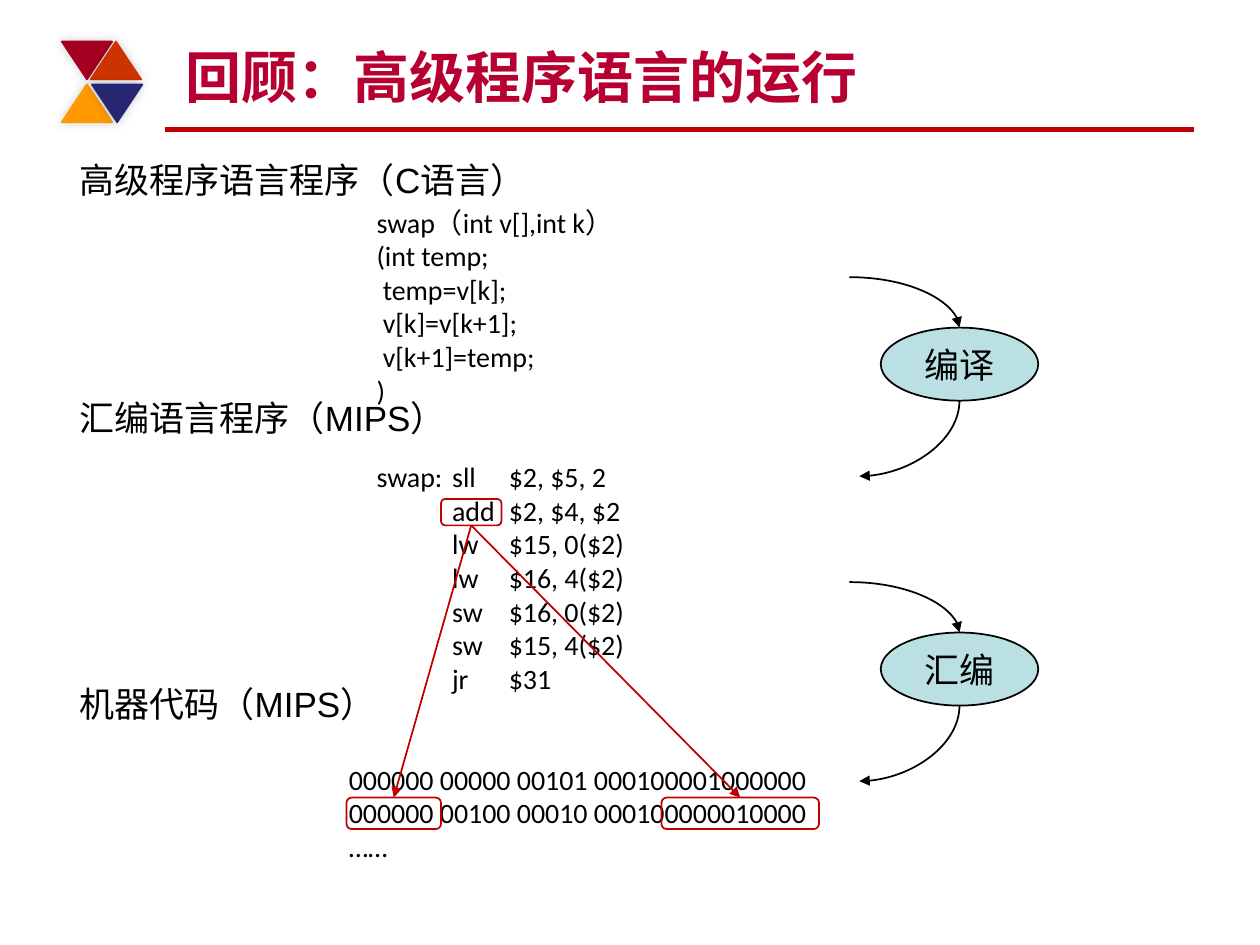
from lxml import etree
from pptx import Presentation
from pptx.dml.color import RGBColor
from pptx.enum.shapes import MSO_CONNECTOR, MSO_SHAPE
from pptx.enum.text import MSO_ANCHOR, MSO_AUTO_SIZE, PP_ALIGN
from pptx.oxml.ns import qn
from pptx.util import Inches, Pt

STRAIGHT, CURVE = MSO_CONNECTOR.STRAIGHT, MSO_CONNECTOR.CURVE
TRIANGLE, ELLIPSE = MSO_SHAPE.ISOSCELES_TRIANGLE, MSO_SHAPE.OVAL
ROUNDED = MSO_SHAPE.ROUNDED_RECTANGLE
LEFT, CENTER = PP_ALIGN.LEFT, PP_ALIGN.CENTER
TOP, MIDDLE, BOTTOM = MSO_ANCHOR.TOP, MSO_ANCHOR.MIDDLE, MSO_ANCHOR.BOTTOM
COLUMNS, ROWS = 100, 75
BLACK, RED, CRIMSON, PALE_BLUE = "000000", "C00000", "B70031", "BBE0E3"


def color(hex_string):
    return RGBColor.from_string(hex_string)


def child(parent, tag, **attributes):
    return etree.SubElement(parent, qn(tag), attributes)


class SlideBuilder:
    def __init__(self, presentation):
        self.slide = presentation.slides.add_slide(presentation.slide_layouts[1])
        self.column = presentation.slide_width / COLUMNS
        self.row = presentation.slide_height / ROWS

    def place(self, left, top, width, height):
        return (round(left * self.column), round(top * self.row),
                round(width * self.column), round(height * self.row))

    def add_text(self, paragraph, text, font, size, hex_string=BLACK, bold=False):
        run = paragraph.add_run()
        run.text = text
        run.font.name, run.font.size, run.font.bold = font, Pt(size), bold
        run.font.color.rgb = color(hex_string)

    def placeholder(self, shape, box, anchor):
        shape.left, shape.top, shape.width, shape.height = self.place(*box)
        frame = shape.text_frame
        frame.auto_size = MSO_AUTO_SIZE.NONE
        frame.vertical_anchor = anchor
        return frame

    def title(self, box, text):
        frame = self.placeholder(self.slide.shapes.title, box, BOTTOM)
        paragraph = frame.paragraphs[0]
        paragraph.alignment = LEFT
        self.add_text(paragraph, text, "Arial", 32, CRIMSON, True)

    def headings(self, box, items):
        frame = self.placeholder(self.slide.placeholders[1], box, TOP)
        for index, (text, space) in enumerate(items):
            paragraph = frame.add_paragraph() if index else frame.paragraphs[0]
            properties = paragraph._p.get_or_add_pPr()
            properties.set("marL", "0")
            properties.set("indent", "0")
            child(properties, "a:buNone")
            paragraph.space_before = Pt(space)
            self.add_text(paragraph, text, "Arial", 20)

    def code(self, box, lines, tabs=()):
        frame = self.slide.shapes.add_textbox(*self.place(*box)).text_frame
        frame.word_wrap = True
        for index, line in enumerate(lines):
            paragraph = frame.add_paragraph() if index else frame.paragraphs[0]
            if tabs:
                stops = child(paragraph._p.get_or_add_pPr(), "a:tabLst")
                for position in tabs:
                    child(stops, "a:tab", pos=str(round(position * self.column)), algn="l")
            self.add_text(paragraph, line, "Calibri", 16)

    def shape(self, kind, box, line, fill=None, rotation=0):
        shape = self.slide.shapes.add_shape(kind, *self.place(*box))
        shape.shadow.inherit = False
        shape.rotation = rotation
        shape.line.color.rgb = color(line)
        shape.line.width = Pt(1)
        if fill:
            shape.fill.solid()
            shape.fill.fore_color.rgb = color(fill)
        else:
            shape.fill.background()
        return shape

    def triangle(self, left, top, hex_string, rotation):
        shape = self.shape(TRIANGLE, (left, top, 4, 3), hex_string, hex_string, rotation)
        effects = shape._element.spPr.find(qn("a:effectLst"))
        shadow = child(effects, "a:outerShdw", blurRad=str(Pt(6)), dist="0",
                       dir="18900000", rotWithShape="0")
        child(child(shadow, "a:srgbClr", val=BLACK), "a:alpha", val="20000")

    def ellipse(self, box, text):
        shape = self.shape(ELLIPSE, box, BLACK, PALE_BLUE)
        frame = shape.text_frame
        frame.vertical_anchor = MIDDLE
        paragraph = frame.paragraphs[0]
        paragraph.alignment = CENTER
        self.add_text(paragraph, text, "Times New Roman", 20)

    def line(self, start, end, hex_string, width=1, kind=STRAIGHT, arrow=True):
        connector = self.slide.shapes.add_connector(
            kind, *self.place(*start, *end))
        connector.line.color.rgb = color(hex_string)
        connector.line.width = Pt(width)
        properties = connector._element.spPr
        if arrow:
            child(properties.find(qn("a:ln")), "a:tailEnd", type="triangle")
        child(properties, "a:effectLst")
        return connector

    def curve(self, start, end, turned=False):
        if turned:
            middle_x, middle_y = (start[0] + end[0]) / 2, (start[1] + end[1]) / 2
            half_width, half_height = abs(end[1] - start[1]) / 2, abs(end[0] - start[0]) / 2
            start = middle_x - half_width, middle_y - half_height
            end = middle_x + half_width, middle_y + half_height
        connector = self.line(start, end, BLACK, kind=CURVE)
        properties = connector._element.spPr
        properties.find(qn("a:prstGeom")).set("prst", "curvedConnector2")
        if turned:
            properties.find(qn("a:xfrm")).set("rot", "5400000")

    def stage(self, top, text):
        left, width, height = 69.9, 12.5, 5.8
        center, bottom = left + width / 2, top + height
        self.ellipse((left, top, width, height), text)
        self.curve((67.4, top - 4), (center, top))
        self.curve((center, bottom), (68.2, bottom + 6), turned=True)

    def link(self, source, target):
        connector = self.line((0, 0), (0, 0), RED)
        connector.begin_connect(source, 2)
        connector.end_connect(target, 0)


def main():
    presentation = Presentation()
    presentation.slide_width, presentation.slide_height = Inches(10), Inches(7.5)
    builder = SlideBuilder(presentation)

    builder.line((13.1, 10.3), (94.8, 10.3), RED, 3, arrow=False)
    for left, top, hex_string, rotation in (
            (4.9, 3.3, "A50021", 180), (7.2, 3.3, "CC3300", 0),
            (4.9, 6.7, "FF9900", 0), (7.3, 6.7, "262673", 180)):
        builder.triangle(left, top, hex_string, rotation)

    builder.title((13.7, 2.5, 80, 6.7), "回顾：高级程序语言的运行")
    builder.headings((5.3, 12.1, 47.2, 59.6), (
        ("高级程序语言程序（C语言）", 0),
        ("汇编语言程序（MIPS）", 112),
        ("机器代码（MIPS）", 139)))

    builder.code((28.9, 15.8, 34.4, 17.2), (
        "swap（int v[],int k）", "(int temp;", " temp=v[k];",
        " v[k]=v[k+1];", " v[k+1]=temp;", ")"))
    builder.code((28.9, 36, 33.6, 19.9), (
        "swap:\tsll\t$2, $5, 2", "\tadd\t$2, $4, $2", "\tlw\t$15, 0($2)",
        "\tlw\t$16, 4($2)", "\tsw\t$16, 0($2)", "\tsw\t$15, 4($2)",
        "\tjr\t$31"), tabs=(6, 10.5))
    builder.code((26.7, 60, 54.7, 9.1), (
        "000000 00000 00101 000100001000000",
        "000000 00100 00010 000100000010000", "……"))

    builder.stage(26, "编译")
    builder.stage(50.2, "汇编")

    instruction = builder.shape(ROUNDED, (35, 39.6, 4.8, 2.1), RED)
    for left, width in ((27.5, 7.5), (52.5, 12.5)):
        field = builder.shape(ROUNDED, (left, 63.3, width, 2.5), RED)
        builder.link(instruction, field)

    presentation.save("out.pptx")


if __name__ == "__main__":
    main()
